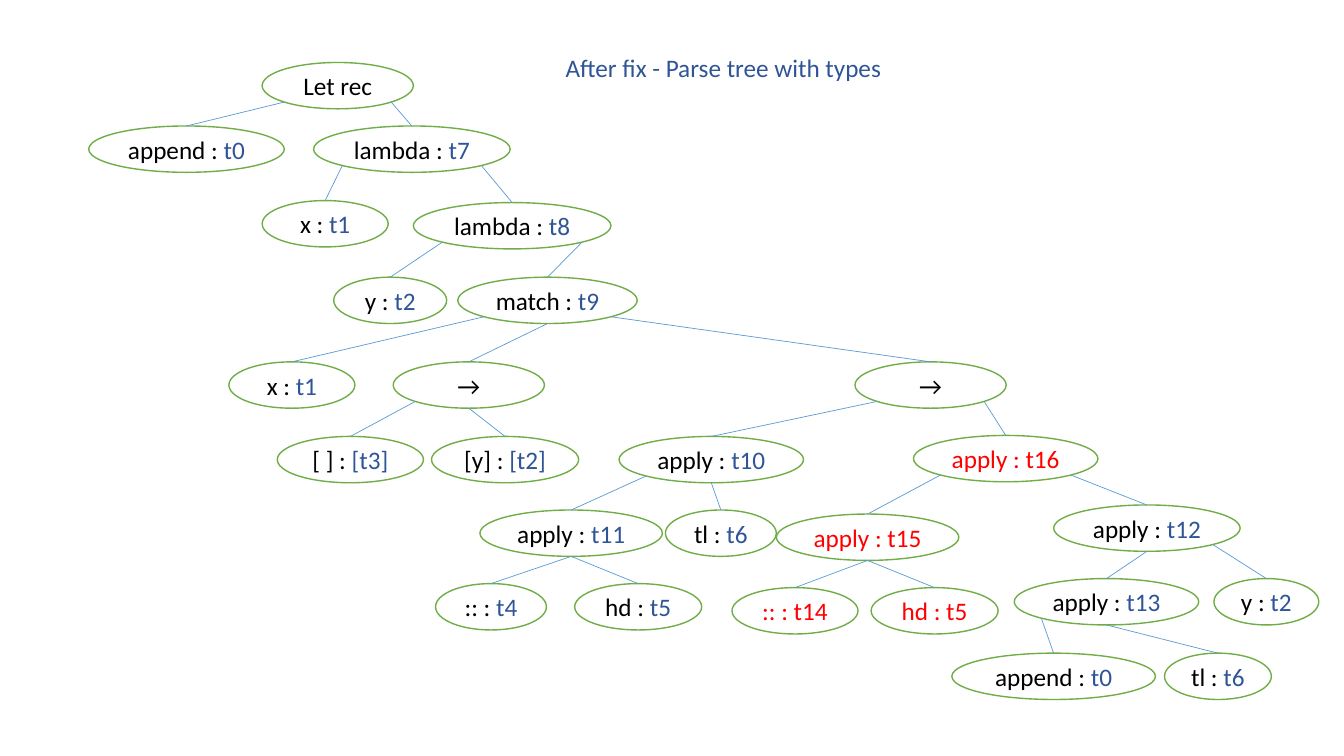
from collections import namedtuple
from math import sqrt

from lxml.etree import SubElement
from pptx import Presentation
from pptx.dml.color import RGBColor
from pptx.enum.shapes import MSO_CONNECTOR, MSO_SHAPE
from pptx.enum.text import MSO_ANCHOR, PP_ALIGN
from pptx.oxml.ns import qn
from pptx.util import Inches, Pt

# Content: term, type, left, top, width, where its branch leaves the parent
Node = namedtuple("Node", "term type left top width leaves children fixed",
                  defaults=("", (), False))
LEFT, MIDDLE, RIGHT = -1, 0, 1

TITLE = "After fix - Parse tree with types"

nil_case = Node("→", "", 3.9, 3.59, 1.5, MIDDLE, [
    Node("[ ] : ", "[t3]", 2.75, 4.33, 1.45, LEFT),
    Node("[y] : ", "[t2]", 4.28, 4.33, 1.46, MIDDLE),
])
head_and_tail = Node("apply : ", "t10", 6.14, 4.33, 1.83, LEFT, [
    Node("apply : ", "t11", 4.76, 5.06, 1.81, LEFT, [
        Node(":: : ", "t4", 4.32, 5.79, 1.1, MIDDLE),
        Node("hd : ", "t5", 5.7, 5.79, 1.26, MIDDLE),
    ]),
    Node("tl : ", "t6", 6.6, 5.06, 1.1, MIDDLE),
])
fixed_cons = Node("apply : ", "t15", 7.7, 5.1, 1.81, LEFT, [
    Node(":: : ", "t14", 7.26, 5.83, 1.25, MIDDLE, fixed=True),
    Node("hd : ", "t5", 8.64, 5.83, 1.26, MIDDLE, fixed=True),
], fixed=True)
recursive_call = Node("apply : ", "t12", 10.45, 5.01, 1.85, RIGHT, [
    Node("apply : ", "t13", 10.06, 5.74, 1.83, MIDDLE, [
        Node("append : ", "t0", 9.44, 6.48, 2.02, LEFT),
        Node("tl : ", "t6", 11.55, 6.48, 1.06, MIDDLE),
    ]),
    Node("y : ", "t2", 12.04, 5.74, 1.04, RIGHT),
])
cons_case = Node("→", "", 8.48, 3.59, 1.5, RIGHT, [
    head_and_tail,
    Node("apply : ", "t16", 9.06, 4.32, 1.83, RIGHT,
         [fixed_cons, recursive_call], fixed=True),
])
match = Node("match : ", "t9", 4.54, 2.75, 1.78, RIGHT, [
    Node("x : ", "t1", 2.27, 3.59, 1.25, LEFT), nil_case, cons_case,
])
PARSE_TREE = Node("Let rec", "", 2.6, 0.62, 1.5, MIDDLE, [
    Node("append : ", "t0", 0.88, 1.25, 1.94, LEFT),
    Node("lambda : ", "t7", 3.11, 1.25, 1.95, RIGHT, [
        Node("x : ", "t1", 2.6, 1.99, 1.25, LEFT),
        Node("lambda : ", "t8", 4.1, 2.01, 1.96, RIGHT, [
            Node("y : ", "t2", 3.31, 2.75, 1.12, LEFT), match,
        ]),
    ]),
])


class Theme:
    font, size = "Calibri", Pt(18)
    paper = RGBColor(0xFF, 0xFF, 0xFF)
    term = RGBColor(0x00, 0x00, 0x00)
    type = RGBColor(0x2F, 0x55, 0x97)
    fixed = RGBColor(0xFF, 0x00, 0x00)
    outline, outline_width = RGBColor(0x70, 0xAD, 0x47), Pt(1)
    branch, branch_width = RGBColor(0x5B, 0x9B, 0xD5), Pt(0.5)


NODE_HEIGHT = 0.46

presentation = Presentation()
presentation.slide_width, presentation.slide_height = Inches(13.33), Inches(7.5)
slide = presentation.slides.add_slide(presentation.slide_layouts[6])


def write(frame, *parts):
    """Fill a frame with one centred line of (text, colour) parts."""
    line = frame.paragraphs[0]
    line.alignment = PP_ALIGN.CENTER
    for text, colour in parts:
        run = line.add_run()
        run.text = text
        run.font.name, run.font.size = Theme.font, Theme.size
        run.font.color.rgb = colour


def draw_node(node):
    oval = slide.shapes.add_shape(
        MSO_SHAPE.OVAL, Inches(node.left), Inches(node.top),
        Inches(node.width), Inches(NODE_HEIGHT))
    oval.shadow.inherit = False
    oval.fill.solid()
    oval.fill.fore_color.rgb = Theme.paper
    oval.line.color.rgb, oval.line.width = Theme.outline, Theme.outline_width
    frame = oval.text_frame
    frame.word_wrap = False
    frame.vertical_anchor = MSO_ANCHOR.MIDDLE
    if node.fixed:
        write(frame, (node.term + node.type, Theme.fixed))
    elif node.type:
        write(frame, (node.term, Theme.term), (node.type, Theme.type))
    else:
        write(frame, (node.term, Theme.term))


def draw_branch(parent, child):
    """Join the parent's lower rim, at 45 degrees or straight down, to the child's top."""
    across = child.leaves / sqrt(2)
    down = 1 / sqrt(2) if child.leaves else 1
    branch = slide.shapes.add_connector(
        MSO_CONNECTOR.STRAIGHT,
        Inches(parent.left + parent.width / 2 * (1 + across)),
        Inches(parent.top + NODE_HEIGHT / 2 * (1 + down)),
        Inches(child.left + child.width / 2), Inches(child.top))
    branch.line.color.rgb, branch.line.width = Theme.branch, Theme.branch_width
    SubElement(branch._element.spPr, qn("a:effectLst"))


def draw_tree(node):
    draw_node(node)
    for child in node.children:
        draw_tree(child)
        draw_branch(node, child)


# Tree
draw_tree(PARSE_TREE)

# Title
title = slide.shapes.add_textbox(Inches(5.05), Inches(0.47), Inches(4.25), Inches(0.4))
title.text_frame.word_wrap = True
write(title.text_frame, (TITLE, Theme.type))

presentation.save("out.pptx")
